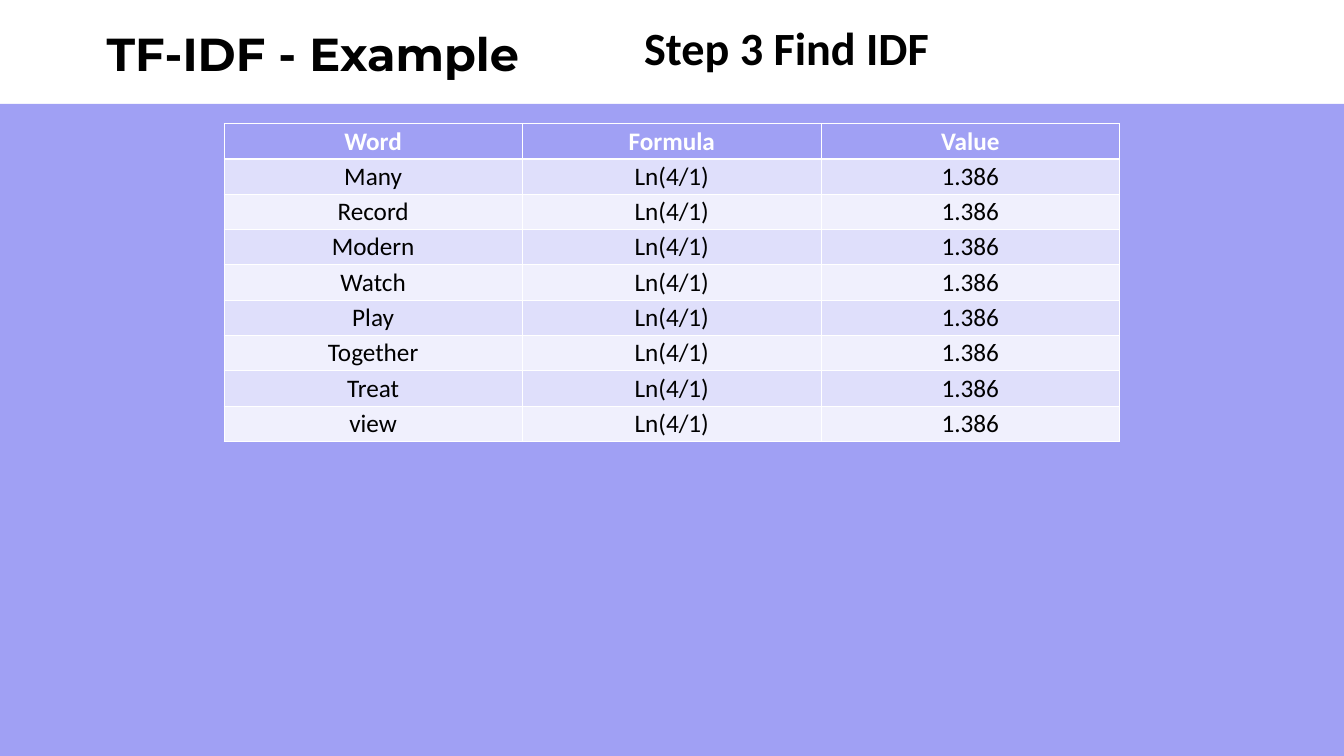
import lxml.etree
import pptx
import pptx.dml.color
import pptx.enum.shapes
import pptx.enum.text
import pptx.oxml.ns
import pptx.util

Inches = pptx.util.Inches
Pt = pptx.util.Pt
ALIGN = pptx.enum.text.PP_ALIGN

VIOLET, LILAC, PALE = "A0A0F4", "DFDFFB", "F0F0FD"
WHITE, BLACK = "FFFFFF", "000000"
WORDS = ["Many", "Record", "Modern", "Watch", "Play", "Together", "Treat", "view"]
ROWS = [("Word", "Formula", "Value")] + [(word, "Ln(4/1)", "1.386") for word in WORDS]


def color(hex_value):
    return pptx.dml.color.RGBColor.from_string(hex_value)


def format_paragraph(paragraph, font_name, size, hex_value, bold, alignment):
    paragraph.alignment = alignment
    font = paragraph.font
    font.name, font.size, font.bold = font_name, Pt(size), bold
    font.color.rgb = color(hex_value)


def fill_heading(shape, box, text, font_name, alignment):
    shape.left, shape.top, shape.width, shape.height = map(Inches, box)
    frame = shape.text_frame
    frame.text = text
    frame.word_wrap = True
    frame.auto_size = pptx.enum.text.MSO_AUTO_SIZE.SHAPE_TO_FIT_TEXT
    frame.vertical_anchor = pptx.enum.text.MSO_ANCHOR.TOP
    format_paragraph(frame.paragraphs[0], font_name, 66, BLACK, True, alignment)


def add_background(slide, box):
    band = slide.shapes.add_shape(
        pptx.enum.shapes.MSO_SHAPE.RECTANGLE, *map(Inches, box))
    band.shadow.inherit = False
    band.fill.solid()
    band.fill.fore_color.rgb = color(VIOLET)
    band.line.fill.background()


def set_borders(cell, widths):
    """Draw white borders; widths maps the sides L, R, T, B, in that order, to points."""
    qn = pptx.oxml.ns.qn
    properties = cell._tc.get_or_add_tcPr()
    for side, width in widths.items():
        line = lxml.etree.SubElement(properties, qn(f"a:ln{side}"), w=str(Pt(width)))
        fill = lxml.etree.SubElement(line, qn("a:solidFill"))
        lxml.etree.SubElement(fill, qn("a:srgbClr"), val=WHITE)


def add_idf_table(slide, box):
    table = slide.shapes.add_table(len(ROWS), len(ROWS[0]), *map(Inches, box)).table
    for column in table.columns:
        column.width = Inches(box[2] / len(ROWS[0]))
    for i, values in enumerate(ROWS):
        table.rows[i].height = Inches(box[3] / len(ROWS))
        header = i == 0
        background = VIOLET if header else (LILAC if i % 2 else PALE)
        widths = {"L": 1, "R": 1, "T": 3 if i == 1 else 1, "B": 3 if header else 1}
        for j, value in enumerate(values):
            cell = table.cell(i, j)
            set_borders(cell, widths)
            cell.fill.solid()
            cell.fill.fore_color.rgb = color(background)
            cell.text = value
            format_paragraph(cell.text_frame.paragraphs[0], "Calibri", 36,
                             WHITE if header else BLACK, header, ALIGN.CENTER)


def main():
    presentation = pptx.Presentation()
    presentation.slide_width = Inches(26.66)
    presentation.slide_height = Inches(15)
    slide = presentation.slides.add_slide(presentation.slide_layouts[5])

    add_background(slide, (0, 2.06, 26.66, 12.94))
    fill_heading(slide.shapes.title, (-0.78, 0.45, 13.97, 1.21),
                 "TF-IDF - Example", "Montserrat", ALIGN.CENTER)
    step_box = (12.68, 0.34, 13.97, 1.21)
    step = slide.shapes.add_textbox(*map(Inches, step_box))
    fill_heading(step, step_box, "Step 3 Find IDF", "Calibri", ALIGN.LEFT)
    add_idf_table(slide, (4.44, 2.45, 17.77, 6.3))

    presentation.save("out.pptx")


if __name__ == "__main__":
    main()
